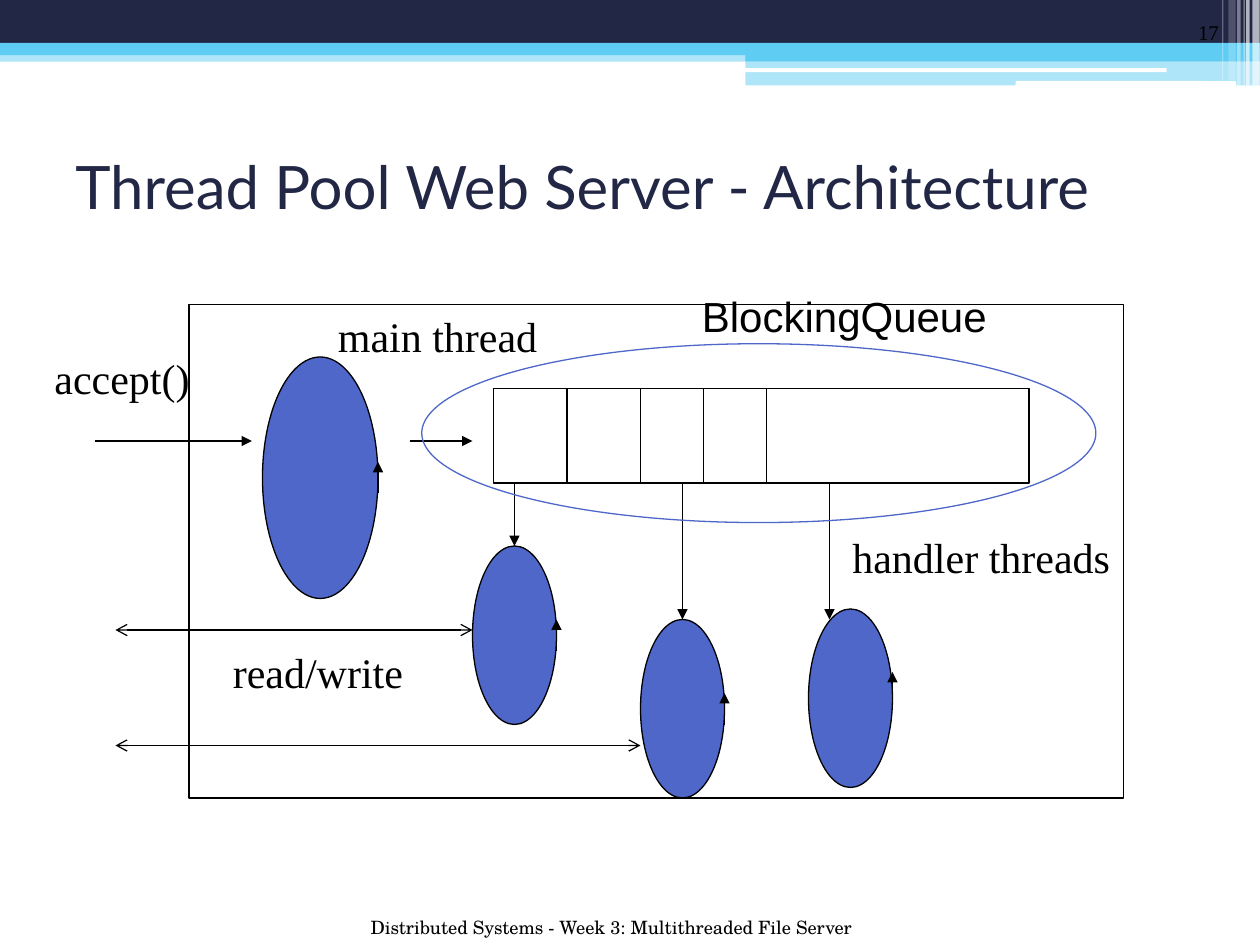
from typing import NamedTuple, Optional

from lxml import etree
from pptx import Presentation
from pptx.dml.color import RGBColor
from pptx.enum.shapes import MSO_CONNECTOR, MSO_SHAPE
from pptx.enum.text import MSO_ANCHOR, MSO_AUTO_SIZE, PP_ALIGN
from pptx.oxml.ns import qn
from pptx.util import Pt

RECT = MSO_SHAPE.RECTANGLE
ROUND = MSO_SHAPE.ROUNDED_RECTANGLE
OVAL = MSO_SHAPE.OVAL
STRAIGHT = MSO_CONNECTOR.STRAIGHT
TOP, MIDDLE, BOTTOM = MSO_ANCHOR.TOP, MSO_ANCHOR.MIDDLE, MSO_ANCHOR.BOTTOM
LEFT, RIGHT = PP_ALIGN.LEFT, PP_ALIGN.RIGHT
GROW, FIXED = MSO_AUTO_SIZE.SHAPE_TO_FIT_TEXT, MSO_AUTO_SIZE.NONE

COLORS = {
    "navy": "212745",
    "sky": "5ECCF3",
    "blue": "4E67C8",
    "white": "FFFFFF",
    "black": "000000",
}
SERIF = "Times New Roman"
LINE_WIDTH = 0.75


class Area(NamedTuple):
    left: float
    top: float
    width: float
    height: float


class Band(NamedTuple):
    area: Area
    color: str
    opacity: int = 100
    kind: int = RECT


class Arrow(NamedTuple):
    start: tuple
    end: tuple
    head: Optional[str] = None
    tail: Optional[str] = "triangle"


class Label(NamedTuple):
    text: str
    area: Area
    font: str = SERIF


def rgb(name: str) -> RGBColor:
    return RGBColor.from_string(COLORS[name])


def add_figure(page, kind: int, area: Area, fill: Optional[str] = None,
               line: Optional[str] = None, opacity: int = 100):
    figure = page.shapes.add_shape(kind, *(Pt(value) for value in area))
    figure.shadow.inherit = False
    if fill:
        figure.fill.solid()
        figure.fill.fore_color.rgb = rgb(fill)
        if opacity < 100:
            color = figure._element.spPr.find(qn("a:solidFill")).find(qn("a:srgbClr"))
            etree.SubElement(color, qn("a:alpha"), val=str(opacity * 1000))
    else:
        figure.fill.background()
    if line:
        figure.line.color.rgb = rgb(line)
        figure.line.width = Pt(LINE_WIDTH)
    else:
        figure.line.fill.background()
    return figure


def add_arrow(page, arrow: Arrow):
    points = (Pt(value) for value in arrow.start + arrow.end)
    connector = page.shapes.add_connector(STRAIGHT, *points)
    connector.line.color.rgb = rgb("black")
    connector.line.width = Pt(LINE_WIDTH)
    properties = connector._element.spPr
    outline = properties.find(qn("a:ln"))
    for tag, kind in (("a:headEnd", arrow.head), ("a:tailEnd", arrow.tail)):
        if kind:
            etree.SubElement(outline, qn(tag), type=kind)
    etree.SubElement(properties, qn("a:effectLst"))
    return connector


def add_text(page, text: str, area: Area, *, font: str = SERIF, size: float = 24,
             color: str = "black", align: int = LEFT, anchor: int = TOP,
             wrap: bool = True, grow: bool = False) -> None:
    box = page.shapes.add_textbox(*(Pt(value) for value in area))
    frame = box.text_frame
    frame.word_wrap = wrap
    frame.auto_size = GROW if grow else FIXED
    frame.vertical_anchor = anchor
    para = frame.paragraphs[0]
    para.alignment = align
    span = para.add_run()
    span.text = text
    span.font.name = font
    span.font.size = Pt(size)
    span.font.color.rgb = rgb(color)


BANDS = [
    Band(Area(0, 28.8, 720, 6.5), "sky", 50),
    Band(Area(0, 0, 720, 24.5), "navy"),
    Band(Area(0, 24.5, 720, 7), "sky"),
    Band(Area(426, 28, 294, 7), "sky"),
    Band(Area(426, 34.6, 294, 14.2), "sky", 50),
    Band(Area(425.5, 39, 241.2, 2.2), "white", kind=ROUND),
    Band(Area(580.3, 46.3, 126, 2.8), "white", kind=ROUND),
    # Thin vertical stripes at the right edge
    Band(Area(715.7, 0, 4.2, 48.8), "white", 65),
    Band(Area(712.1, 0, 2, 48.8), "white", 65),
    Band(Area(710.6, 0, 0.7, 48.8), "white", 60),
    Band(Area(707, 0, 2, 48.8), "white", 40),
    Band(Area(702, 0, 4.2, 46.1), "white", 20),
    Band(Area(698.4, 0, 0.7, 46.1), "white", 30),
]

SERVER = Area(108, 174, 534, 282)
MAIN_THREAD = Area(150, 204, 66, 138)
QUEUE = Area(282, 222, 306, 54)
QUEUE_BOTTOM = QUEUE.top + QUEUE.height
QUEUE_OVAL = Area(241, 196.4, 385.2, 102.2)
DIVIDERS = [324, 366, 402, 438]
HANDLERS = [Area(left, top, 48, 102) for left, top in ((270, 312), (366, 354), (462, 348))]

# Right edge and tip height of the loop arrow on each thread
LOOP_TIPS = [(216, 264), (318, 354), (414, 396), (510, 384)]
LOOP_LENGTH = 18

FLOWS = [
    Arrow((54, 252), (144, 252)),
    Arrow((234, 252), (270, 252)),
    Arrow((474, QUEUE_BOTTOM), (474, 354)),
    Arrow((66, 360), (270, 360), "arrow", "arrow"),
    Arrow((66, 426), (366, 426), "arrow", "arrow"),
]

# Widths leave a little room so that each label stays on one line
LABELS = [
    Label("accept()", Area(24, 198, 96, 36)),
    Label("handler threads", Area(480, 300, 166, 36)),
    Label("main thread", Area(186, 174, 132, 36)),
    Label("read/write", Area(126, 366, 116, 36)),
    Label("BlockingQueue", Area(394, 162.3, 182, 36), "Arial"),
]


def main() -> None:
    deck = Presentation()
    deck.slide_width, deck.slide_height = Pt(720), Pt(540)
    page = deck.slides.add_slide(deck.slide_layouts[6])

    # Header decoration, page number and title
    for band in BANDS:
        add_figure(page, band.kind, band.area, band.color, opacity=band.opacity)
    add_text(page, "17", Area(643.9, 0, 59.8, 29), size=12, align=RIGHT, anchor=BOTTOM)
    add_text(page, "Thread Pool Web Server - Architecture", Area(36, 64, 648, 84),
             font="Lato", size=34.2, color="navy", anchor=MIDDLE)

    # Server frame, main thread and queue cells
    add_figure(page, RECT, SERVER, line="black")
    add_figure(page, OVAL, MAIN_THREAD, "blue", "black")
    add_figure(page, RECT, QUEUE, line="black")
    for x in DIVIDERS:
        add_arrow(page, Arrow((x, QUEUE.top), (x, QUEUE_BOTTOM), tail=None))

    # Handler threads; the first two are fed at the top centre
    handlers = [add_figure(page, OVAL, area, "blue", "black") for area in HANDLERS]
    for handler, area in zip(handlers[:2], HANDLERS):
        x = area.left + area.width / 2
        feed = add_arrow(page, Arrow((x, QUEUE_BOTTOM), (x, area.top)))
        feed.end_connect(handler, 0)

    # Remaining flows and thread loops
    for flow in FLOWS:
        add_arrow(page, flow)
    for x, tip in LOOP_TIPS:
        add_arrow(page, Arrow((x, tip + LOOP_LENGTH), (x, tip)))

    # Queue outline, labels and footer
    add_figure(page, OVAL, QUEUE_OVAL, line="blue")
    for label in LABELS:
        add_text(page, label.text, label.area, font=label.font, wrap=False, grow=True)
    add_text(page, "Distributed Systems - Week 3: Multithreaded File Server",
             Area(204.7, 519.8, 310.3, 20.2), font="TeX Gyre Schola", size=10.5, grow=True)

    deck.save("out.pptx")


if __name__ == "__main__":
    main()
